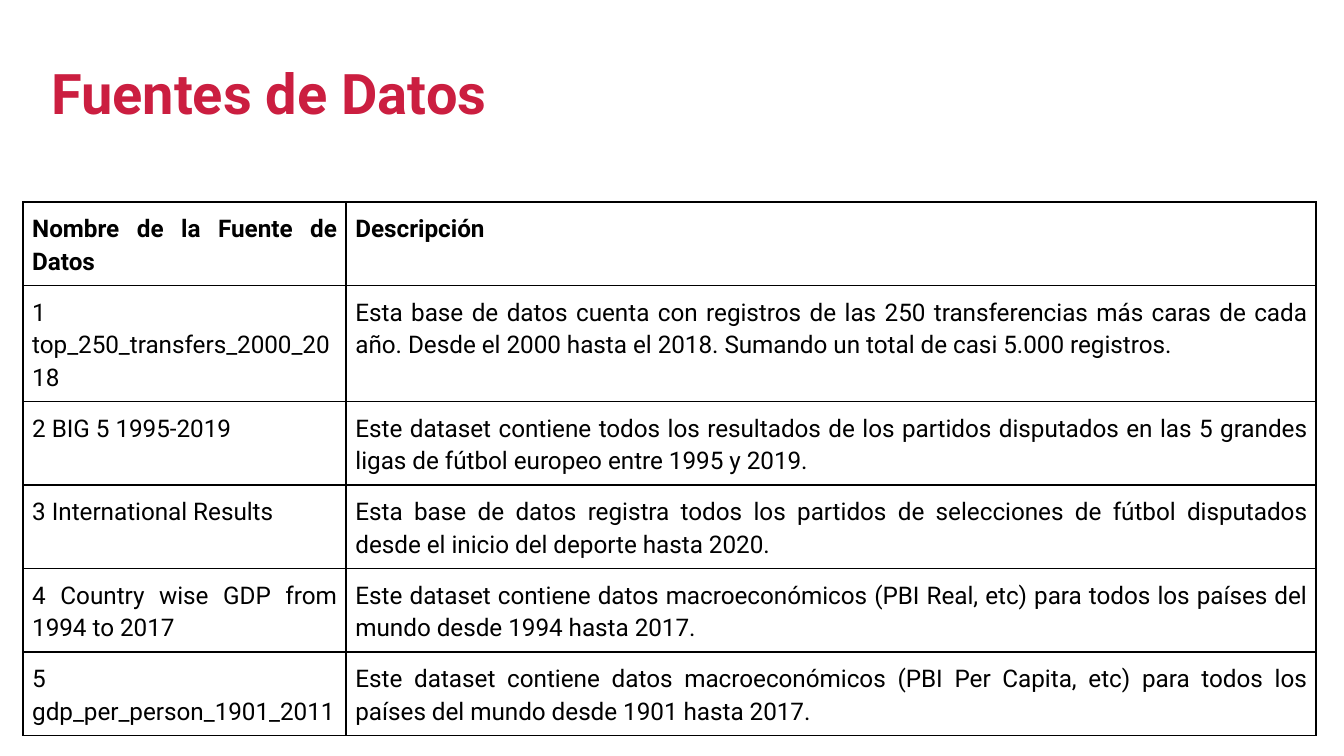
from lxml import etree
from pptx import Presentation
from pptx.dml.color import RGBColor
from pptx.enum.text import MSO_ANCHOR, PP_ALIGN
from pptx.oxml.ns import qn
from pptx.util import Inches, Pt

LEFT, JUST = PP_ALIGN.LEFT, PP_ALIGN.JUSTIFY
TOP, MIDDLE = MSO_ANCHOR.TOP, MSO_ANCHOR.MIDDLE
RED = RGBColor(0xCB, 0x1E, 0x40)
BLACK = RGBColor(0, 0, 0)
FONT = "Roboto"
WIDE = 10
HIGH = WIDE * 9 / 16
PAD, LINE = 0.07, 0.24
SHARES = (0.25, 0.75)

# Name, description and number of text lines
ROWS = (
    ("Nombre de la Fuente de Datos", "Descripción", 2),
    ("1 top_250_transfers_2000_2018",
     "Esta base de datos cuenta con registros de las 250 transferencias más "
     "caras de cada año. Desde el 2000 hasta el 2018. Sumando un total de "
     "casi 5.000 registros.", 3),
    ("2 BIG 5 1995-2019",
     "Este dataset contiene todos los resultados de los partidos disputados "
     "en las 5 grandes ligas de fútbol europeo entre 1995 y 2019.", 2),
    ("3 International Results",
     "Esta base de datos registra todos los partidos de selecciones de "
     "fútbol disputados desde el inicio del deporte hasta 2020.", 2),
    ("4 Country wise GDP from 1994 to 2017",
     "Este dataset contiene datos macroeconómicos (PBI Real, etc) para todos "
     "los países del mundo desde 1994 hasta 2017.", 2),
    ("5 gdp_per_person_1901_2011",
     "Este dataset contiene datos macroeconómicos (PBI Per Capita, etc) para "
     "todos los países del mundo desde 1901 hasta 2017.", 2),
)


def write(frame, text, size=13, color=BLACK, bold=False, align=JUST, space=1.15):
    frame.word_wrap = True
    para = frame.paragraphs[0]
    para.alignment, para.line_spacing = align, space
    run = para.add_run()
    run.text = text
    font = run.font
    font.name, font.size, font.bold = FONT, Pt(size), bold
    font.color.rgb = color


def pad(item, size):
    """Set equal margins on a cell or a text frame."""
    item.margin_left = item.margin_right = Inches(size)
    item.margin_top = item.margin_bottom = Inches(size)


def border(cell, width=1, color=BLACK):
    """Draw all four edges, which must come before the cell's fill."""
    props = cell._tc.get_or_add_tcPr()
    for spot, edge in enumerate(("lnL", "lnR", "lnT", "lnB")):
        line = etree.Element(qn("a:" + edge), w=str(Pt(width)))
        fill = etree.SubElement(line, qn("a:solidFill"))
        etree.SubElement(fill, qn("a:srgbClr"), val=str(color))
        props.insert(spot, line)


def add_title(slide, box, text):
    title = slide.shapes.title
    title.left, title.top, title.width, title.height = map(Inches, box)
    frame = title.text_frame
    pad(frame, 0.1)
    frame.vertical_anchor = MIDDLE
    write(frame, text, size=30, color=RED, bold=True, align=LEFT, space=1)


def add_sources(slide, box):
    """Lay out the table; each row is as high as its lines of text."""
    x, y, wide = box
    tall = [2 * PAD + LINE * lines for *_, lines in ROWS]
    table = slide.shapes.add_table(
        len(ROWS), len(SHARES), Inches(x), Inches(y),
        Inches(wide), Inches(sum(tall))).table
    table.horz_banding = False
    for col, share in zip(table.columns, SHARES):
        col.width = Inches(wide * share)
    for i, (*texts, _) in enumerate(ROWS):
        table.rows[i].height = Inches(tall[i])
        for j, text in enumerate(texts):
            cell = table.cell(i, j)
            cell.fill.background()
            border(cell)
            pad(cell, PAD)
            cell.vertical_anchor = TOP
            write(cell.text_frame, text, bold=i == 0)


def main():
    deck = Presentation()
    deck.slide_width, deck.slide_height = Inches(WIDE), Inches(HIGH)
    slide = deck.slides.add_slide(deck.slide_layouts[5])
    add_title(slide, (0.028 * WIDE, 0.027 * HIGH, 0.815 * WIDE, 0.19 * HIGH),
              "Fuentes de Datos")
    add_sources(slide, (0.017 * WIDE, 0.267 * HIGH, 0.962 * WIDE))
    deck.save("out.pptx")


if __name__ == "__main__":
    main()
